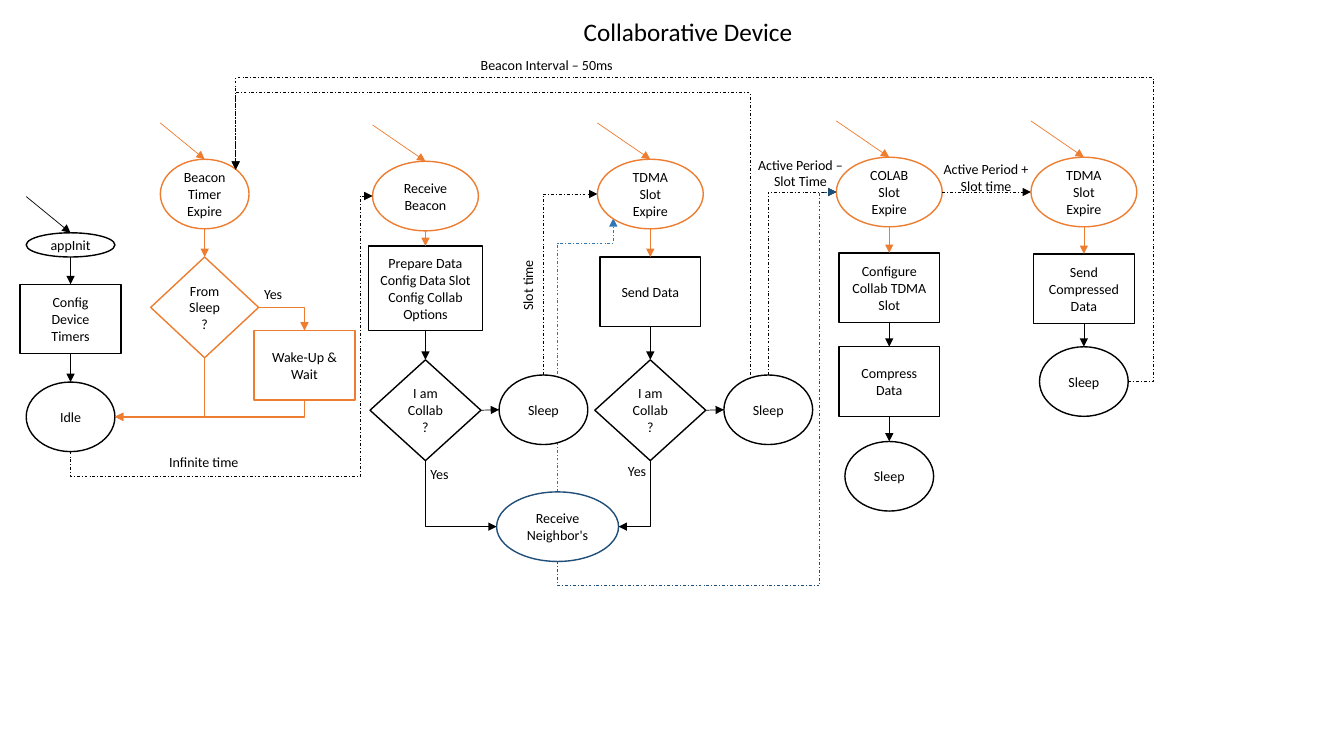
import pptx
import pptx.util
import pptx.dml.color
import pptx.enum.dml
import pptx.enum.shapes
import pptx.enum.text
from lxml import etree
from pptx.oxml.ns import qn

Inches = pptx.util.Inches
PRESETS = pptx.enum.shapes.MSO_SHAPE
CONNECTORS = pptx.enum.shapes.MSO_CONNECTOR
ALIGN = pptx.enum.text.PP_ALIGN

BLACK, WHITE, ORANGE, BLUE, NAVY = "000000", "FFFFFF", "ED7D31", "2E75B6", "1F4E79"
STYLES = {
    "start": (PRESETS.OVAL, 0.88, 0.24, BLACK),
    "state": (PRESETS.OVAL, 0.88, 0.69, BLACK),
    "timer": (PRESETS.OVAL, 0.88, 0.69, ORANGE),
    "event": (PRESETS.OVAL, 1.05, 0.69, ORANGE),
    "neighbor": (PRESETS.OVAL, 1.21, 0.69, NAVY),
    "task": (PRESETS.RECTANGLE, 1, 0.69, BLACK),
    "wake": (PRESETS.RECTANGLE, 1, 0.69, ORANGE),
    "prepare": (PRESETS.RECTANGLE, 1.13, 0.84, BLACK),
    "choice": (PRESETS.DIAMOND, 1.1, 1, BLACK),
    "wake choice": (PRESETS.DIAMOND, 1.07, 1, ORANGE),
}
SITES = {
    "top": (0.5, 0), "top left": (0.15, 0.15), "left": (0, 0.5),
    "bottom left": (0.15, 0.85), "bottom": (0.5, 1), "bottom right": (0.85, 0.85),
    "right": (1, 0.5), "top right": (0.85, 0.15),
}
COLLAB = "I am Collab\v?"


def rgb(value):
    return pptx.dml.color.RGBColor.from_string(value)


def set_text(shape, text, size=10, align=ALIGN.CENTER):
    shape.text_frame.text = text
    for paragraph in shape.text_frame.paragraphs:
        paragraph.alignment = align
        paragraph.font.size = pptx.util.Pt(size)
        paragraph.font.name = "Calibri"
        paragraph.font.color.rgb = rgb(BLACK)


def draw_step(slide, style, text, centre, top):
    preset, width, height, color = STYLES[style]
    shape = slide.shapes.add_shape(
        preset, Inches(centre - width / 2), Inches(top), Inches(width), Inches(height))
    shape.shadow.inherit = False
    shape.fill.solid()
    shape.fill.fore_color.rgb = rgb(WHITE)
    shape.line.color.rgb = rgb(color)
    shape.line.width = pptx.util.Pt(1)
    shape.text_frame.word_wrap = True
    shape.text_frame.vertical_anchor = pptx.enum.text.MSO_ANCHOR.MIDDLE
    set_text(shape, text)
    return shape


def locate(anchor):
    first, second = anchor
    if second not in SITES:
        return Inches(first), Inches(second)
    across, down = SITES[second]
    return first.left + first.width * across, first.top + first.height * down


def attach(connector, tag, anchor):
    shape, side = anchor
    if side not in SITES:
        return
    index = list(SITES).index(side)
    if shape.auto_shape_type != PRESETS.OVAL:
        index //= 2
    properties = connector.element.find(".//" + qn("p:cNvCxnSpPr"))
    etree.SubElement(properties, qn(tag), id=str(shape.shape_id), idx=str(index))


def finish_connector(connector, start, end, color, width, dashed):
    attach(connector, "a:stCxn", start)
    attach(connector, "a:endCxn", end)
    connector.line.color.rgb = rgb(color)
    connector.line.width = pptx.util.Pt(width)
    if dashed:
        connector.line.dash_style = pptx.enum.dml.MSO_LINE.DASH_DOT
    line = connector.line._get_or_add_ln()
    etree.SubElement(line, qn("a:tailEnd"), type="triangle")
    etree.SubElement(connector.element.spPr, qn("a:effectLst"))
    return connector


def draw_arrow(slide, start, end, color=BLACK, dashed=False):
    connector = slide.shapes.add_connector(
        CONNECTORS.STRAIGHT, *map(round, locate(start) + locate(end)))
    return finish_connector(connector, start, end, color, 0.5, dashed)


def draw_route(slide, start, end, color=BLACK, turns=(), width=0.5, dashed=True, upright=True):
    start_point, end_point = locate(start), locate(end)
    delta = [finish - begin for begin, finish in zip(start_point, end_point)]
    along, across = (delta[1], -delta[0]) if upright else delta
    left = (start_point[0] + end_point[0] - abs(along)) / 2
    top = (start_point[1] + end_point[1] - abs(across)) / 2
    connector = slide.shapes.add_connector(
        CONNECTORS.ELBOW, *map(round, (left, top, left + abs(along), top + abs(across))))
    frame = connector.element.spPr.find(qn("a:xfrm"))
    if upright:
        frame.set("rot", "5400000")
    if along < 0:
        frame.set("flipH", "1")
    if across < 0:
        frame.set("flipV", "1")
    geometry = connector.element.spPr.find(qn("a:prstGeom"))
    geometry.set("prst", f"bentConnector{len(turns) + 2}")
    guides = geometry.find(qn("a:avLst"))
    for number, turn in enumerate(turns):
        axis = (number + upright) % 2
        share = round(100000 * (Inches(turn) - start_point[axis]) / delta[axis])
        etree.SubElement(guides, qn("a:gd"), name=f"adj{number + 1}", fmla=f"val {share}")
    return finish_connector(connector, start, end, color, width, dashed)


def draw_label(slide, text, left, top, width, height=0.27, size=10, align=ALIGN.LEFT, rotation=0):
    label = slide.shapes.add_textbox(Inches(left), Inches(top), Inches(width), Inches(height))
    label.text_frame.word_wrap = False
    label.rotation = rotation
    set_text(label, text, size, align)


def draw_column(slide, centre, top, steps):
    shapes = [draw_step(slide, style, text, centre, top + offset) for style, text, offset in steps]
    colors = [STYLES[style][3] for style, text, offset in steps]
    entry = (centre - STYLES[steps[0][0]][1] / 2, top)
    draw_arrow(slide, entry, (shapes[0], "top"), colors[0])
    for upper, lower, color in zip(shapes, shapes[1:], colors):
        draw_arrow(slide, (upper, "bottom"), (lower, "top"), color)
    return shapes


def draw_labels(slide, left, top):
    draw_label(slide, "Collaborative Device", left + 5.69, top + 0.11, 2.3, 0.4, 18)
    draw_label(slide, "Beacon Interval – 50ms", left + 4.67, top + 0.51, 1.53)
    draw_label(slide, "Infinite time", left + 1.58, top + 4.45, 0.9)
    draw_label(slide, "Slot time", left + 4.88, top + 2.69, 0.71, rotation=270)
    for x, y in ((2.52, 2.78), (4.17, 4.57), (6.13, 4.54)):
        draw_label(slide, "Yes", left + x, top + y, 0.39)
    draw_label(slide, "Active Period –\nSlot Time", left + 7.41, top + 1.5, 1.06, 0.44, align=ALIGN.CENTER)
    draw_label(slide, "Active Period +\nSlot time", left + 9.23, top + 1.54, 1.1, 0.44, align=ALIGN.CENTER)


def draw_flow(slide, left, top):
    init, config, idle = draw_column(slide, left + 0.7, top + 1.95, [
        ("start", "appInit", 0.36), ("task", "Config\nDevice\nTimers", 0.87), ("state", "Idle", 1.84)])
    timer, from_sleep = draw_column(slide, left + 2.03, top + 1.22, [
        ("timer", "Beacon\nTimer\nExpire", 0.36), ("wake choice", "From\vSleep\v?", 1.33)])
    beacon, prepare, beacon_choice = draw_column(slide, left + 4.22, top + 1.24, [
        ("event", "Receive Beacon", 0.36),
        ("prepare", "Prepare Data\nConfig Data Slot\nConfig Collab\nOptions", 1.2),
        ("choice", COLLAB, 2.33)])
    slot, send, slot_choice = draw_column(slide, left + 6.45, top + 1.22, [
        ("event", "TDMA Slot\nExpire", 0.36), ("task", "Send Data", 1.33), ("choice", COLLAB, 2.35)])
    collab = draw_column(slide, left + 8.82, top + 1.2, [
        ("event", "COLAB\nSlot\nExpire", 0.36), ("task", "Configure\nCollab TDMA Slot", 1.31),
        ("task", "Compress\nData", 2.24), ("state", "Sleep", 3.18)])[0]
    last_slot, compressed, last_sleep = draw_column(slide, left + 10.75, top + 1.2, [
        ("event", "TDMA Slot\nExpire", 0.36), ("task", "Send Compressed Data", 1.32),
        ("state", "Sleep", 2.24)])
    wake = draw_step(slide, "wake", "Wake-Up &\nWait", left + 3.02, top + 3.28)
    beacon_sleep = draw_step(slide, "state", "Sleep", left + 5.39, top + 3.72)
    slot_sleep = draw_step(slide, "state", "Sleep", left + 7.62, top + 3.72)
    neighbor = draw_step(slide, "neighbor", "Receive\nNeighbor's", left + 5.53, top + 4.88)

    draw_route(slide, (from_sleep, "right"), (wake, "top"), ORANGE, width=1, dashed=False, upright=False)
    for source in (from_sleep, wake):
        draw_route(slide, (source, "bottom"), (idle, "right"), ORANGE, width=1, dashed=False)
    for choice, sleep, side in ((beacon_choice, beacon_sleep, "left"), (slot_choice, slot_sleep, "right")):
        draw_arrow(slide, (choice, "right"), (sleep, "left"))
        draw_route(slide, (choice, "bottom"), (neighbor, side), dashed=False)
    for sleep, event in ((beacon_sleep, slot), (slot_sleep, collab)):
        draw_route(slide, (sleep, "top"), (event, "left"))
    draw_arrow(slide, (collab, "right"), (last_slot, "left"), dashed=True)
    draw_route(slide, (idle, "bottom"), (beacon, "left"), turns=(top + 4.73, left + 3.57))
    draw_route(slide, (neighbor, "bottom"), (collab, "left"), NAVY, (top + 5.81, left + 8.13))
    draw_route(slide, (left + 7.44, top + 3.72), (timer, "top right"), turns=(top + 0.92,))
    draw_route(slide, (last_sleep, "right"), (timer, "top right"),
               turns=(left + 11.44, top + 0.77), upright=False)
    behind = draw_route(slide, (neighbor, "top"), (slot, "bottom left"), BLUE, (top + 2.41,))
    behind.element.getparent().insert(2, behind.element)


presentation = pptx.Presentation()
presentation.slide_width = Inches(13.33)
presentation.slide_height = Inches(7.5)
slide = presentation.slides.add_slide(presentation.slide_layouts[6])
draw_flow(slide, 0, 0)
draw_labels(slide, 0, 0)
presentation.save("out.pptx")
